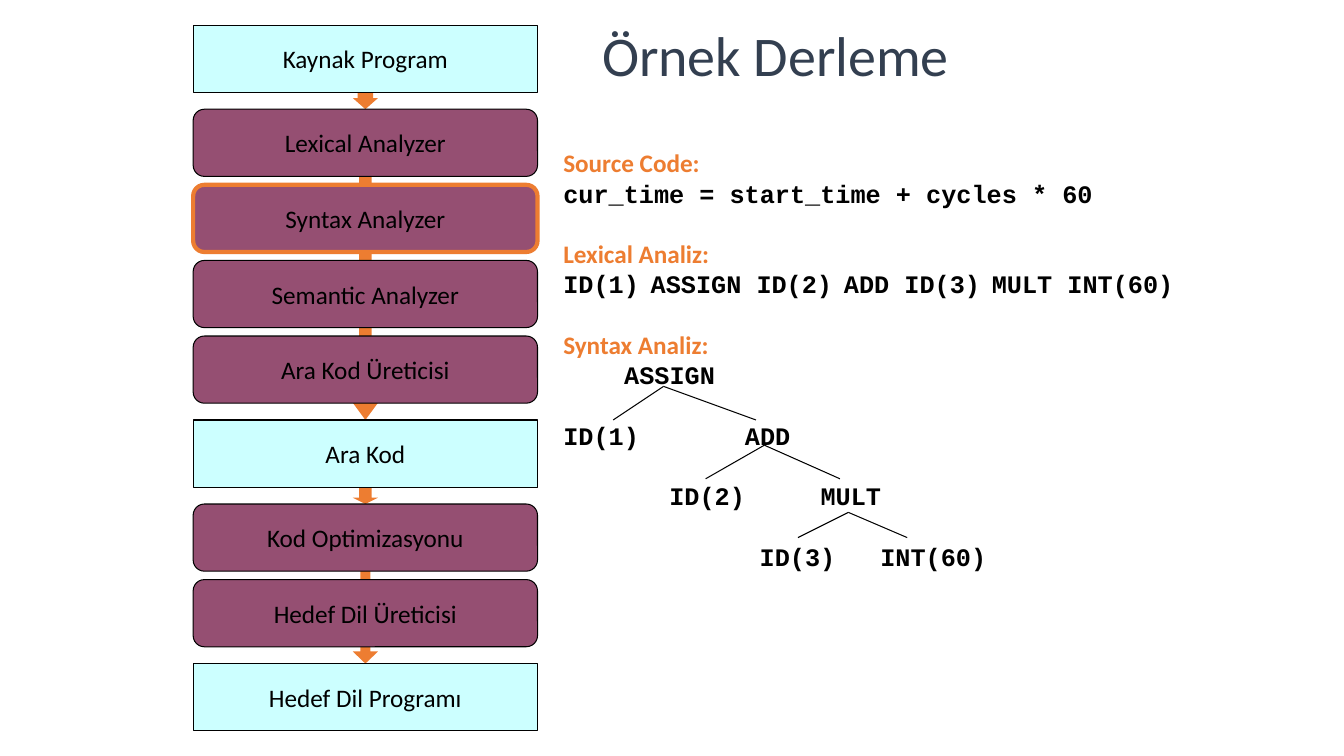
from lxml import etree
from pptx import Presentation
from pptx import util as u
from pptx.dml.color import RGBColor
from pptx.enum import shapes, text
from pptx.oxml.ns import qn

PX = 9525
BLACK = RGBColor(0x00, 0x00, 0x00)
ORANGE = RGBColor(0xED, 0x7D, 0x31)
PLUM = RGBColor(0x95, 0x4F, 0x72)
AQUA = RGBColor(0xCC, 0xFF, 0xFF)
SLATE = RGBColor(0x33, 0x3F, 0x50)
SANS, MONO = "Calibri", "Courier New"
CHARACTER_WIDTH = 14.4
LINE = u.Pt(21.6)

BOX_LEFT, BOX_WIDTH, BOX_HEIGHT = 184, 328, 64
ARROW_WIDTH = 24
ARROW_LEFT = BOX_LEFT + (BOX_WIDTH - ARROW_WIDTH) // 2

ARROWS = [
    (456, 24, 0.5, 0.25),
    (120, 280, 0.5, 0.68),
    (88, 16, 0.61, 0.66),
    (480, 152, 0.4, 0.48),
]
PROGRAMS = [(24, "Kaynak Program"), (400, "Ara Kod"), (632, "Hedef Dil Programı")]
STAGES = [
    (104, "Lexical Analyzer"),
    (176, "Syntax Analyzer"),
    (248, "Semantic Analyzer"),
    (320, "Ara Kod Üreticisi"),
    (480, "Kod Optimizasyonu"),
    (552, "Hedef Dil Üreticisi"),
]
CURRENT_STAGE = "Syntax Analyzer"
TOKEN_GROUPS = ["ID(1)", "ASSIGN ID(2)", "ADD ID(3)", "MULT INT(60)"]
TREE_ROWS = [
    ("\tASSIGN", [4]),
    ("ID(1)\tADD", [12]),
    ("\tID(2)\tMULT", [7, 17]),
    ("\tID(3)\tINT(60)", [13, 21]),
]
BRANCHES = [
    ((632, 368), [(584, 400), (720, 400)]),
    ((728, 424), [(672, 456), (800, 456)]),
    ((808, 488), [(760, 512), (864, 512)]),
]


def px(length):
    return u.Emu(length * PX)


def set_font(font, name, size, color, bold=False):
    font.name = name
    font.size = u.Pt(size)
    font.color.rgb = color
    font.bold = bold


def add_shape(slide, kind, left, top, width, height, fill):
    shape = slide.shapes.add_shape(kind, px(left), px(top), px(width), px(height))
    shape.shadow.inherit = False
    shape.fill.solid()
    shape.fill.fore_color.rgb = fill
    return shape


def add_arrow(slide, top, height, shaft, head):
    arrow = add_shape(slide, shapes.MSO_SHAPE.DOWN_ARROW, ARROW_LEFT, top, ARROW_WIDTH, height, ORANGE)
    arrow.line.fill.background()
    arrow.adjustments[0] = shaft
    arrow.adjustments[1] = head


def add_box(slide, kind, top, label, fill, line=BLACK, weight=0.75):
    box = add_shape(slide, kind, BOX_LEFT, top, BOX_WIDTH, BOX_HEIGHT, fill)
    box.line.color.rgb = line
    box.line.width = u.Pt(weight)
    frame = box.text_frame
    frame.word_wrap = False
    frame.vertical_anchor = text.MSO_ANCHOR.MIDDLE
    paragraph = frame.paragraphs[0]
    paragraph.text = label
    paragraph.alignment = text.PP_ALIGN.CENTER
    set_font(paragraph.font, SANS, 18, BLACK)


def add_text_frame(slide, left, top, width, height):
    frame = slide.shapes.add_textbox(px(left), px(top), px(width), px(height)).text_frame
    frame.word_wrap = True
    return frame


def add_row(frame, content="", gap=True):
    first = not frame.paragraphs[0].runs
    paragraph = frame.paragraphs[0] if first else frame.add_paragraph()
    paragraph.text = content
    paragraph.line_spacing = LINE
    if gap and not first:
        paragraph.space_before = LINE
    return paragraph


def add_heading(frame, content):
    set_font(add_row(frame, content).font, SANS, 18, ORANGE, True)


def add_code(frame, content, columns=(), gap=False):
    paragraph = add_row(frame, content, gap)
    if columns:
        tabs = etree.SubElement(paragraph._p.get_or_add_pPr(), qn("a:tabLst"))
        for column in columns:
            position = px(round(column * CHARACTER_WIDTH))
            etree.SubElement(tabs, qn("a:tab"), pos=str(position), algn="l")
    set_font(paragraph.font, MONO, 18, BLACK, True)


def add_tokens(frame):
    paragraph = add_row(frame, gap=False)
    for index, group in enumerate(TOKEN_GROUPS):
        pieces = [(group, 18)] if index == 0 else [(" ", 14), (group, 18)]
        for content, size in pieces:
            run = paragraph.add_run()
            run.text = content
            set_font(run.font, MONO, size, BLACK, True)


def add_branch(slide, start, end):
    branch = slide.shapes.add_connector(
        shapes.MSO_CONNECTOR.STRAIGHT, *map(px, start), *map(px, end))
    branch.line.color.rgb = BLACK
    branch.line.width = u.Pt(0.75)
    etree.SubElement(branch._element.spPr, qn("a:effectLst"))


def add_analysis(slide):
    frame = add_text_frame(slide, 527, 136, 604, 414)
    add_heading(frame, "Source Code:")
    add_code(frame, "cur_time = start_time + cycles * 60")
    add_heading(frame, "Lexical Analiz:")
    add_tokens(frame)
    add_heading(frame, "Syntax Analiz:")
    for index, (content, columns) in enumerate(TREE_ROWS):
        add_code(frame, content, columns, gap=index > 0)
    for start, ends in BRANCHES:
        for end in ends:
            add_branch(slide, start, end)


def main():
    presentation = Presentation()
    presentation.slide_width = px(1280)
    presentation.slide_height = px(720)
    slide = presentation.slides.add_slide(presentation.slide_layouts[6])
    for arrow in ARROWS:
        add_arrow(slide, *arrow)
    for top, label in STAGES:
        line, weight = (ORANGE, 3) if label == CURRENT_STAGE else (BLACK, 0.75)
        add_box(slide, shapes.MSO_SHAPE.ROUNDED_RECTANGLE, top, label, PLUM, line, weight)
    for top, label in PROGRAMS:
        add_box(slide, shapes.MSO_SHAPE.RECTANGLE, top, label, AQUA)
    add_analysis(slide)
    title = add_text_frame(slide, 564, 15, 371, 74).paragraphs[0]
    title.text = "Örnek Derleme"
    set_font(title.font, SANS, 40, SLATE)
    presentation.save("out.pptx")


if __name__ == "__main__":
    main()
